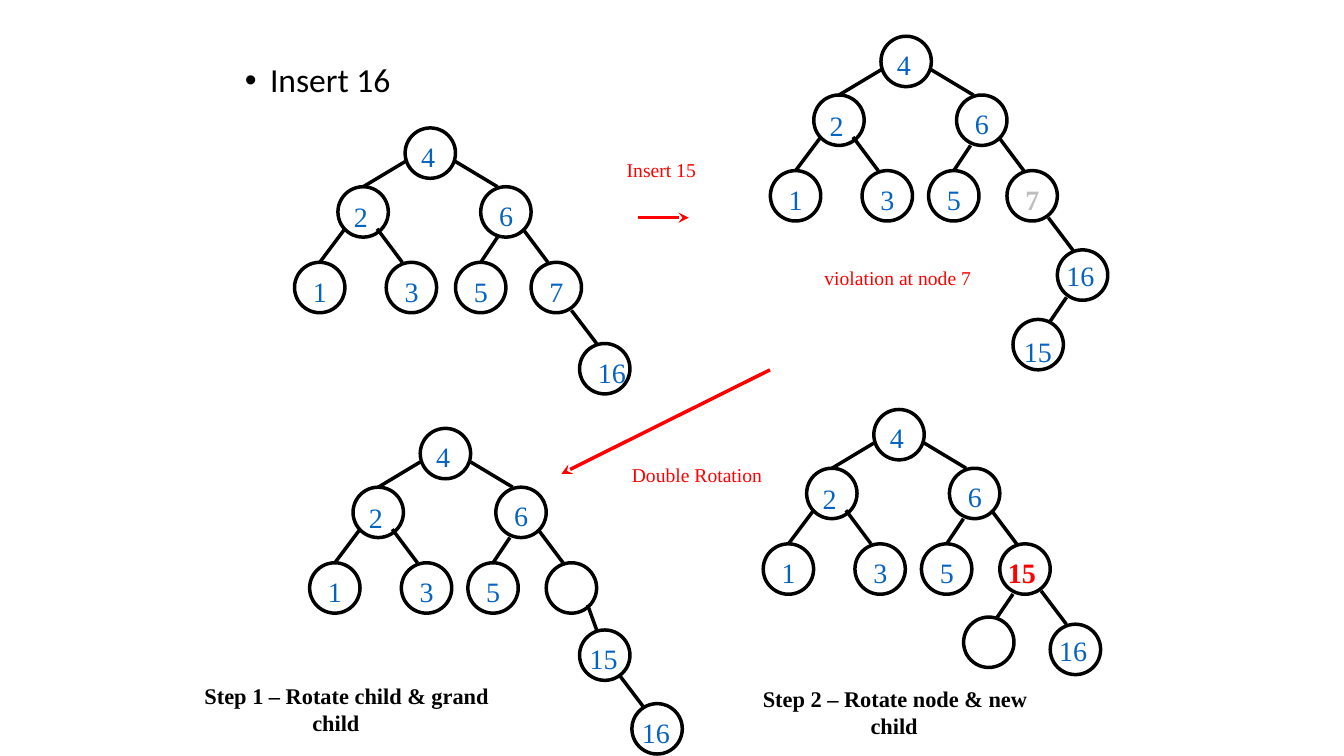
from lxml import etree
from pptx import Presentation
from pptx.dml import color
from pptx.enum import shapes, text
from pptx.oxml import ns
from pptx.util import Pt

theme = {
    "ink": color.RGBColor.from_string("000000"),
    "blue": color.RGBColor.from_string("0563C1"),
    "red": color.RGBColor.from_string("FF0000"),
    "gray": color.RGBColor.from_string("BFBFBF"),
    "serif": "Times New Roman",
    "sans": "Calibri",
    "key": Pt(20),
    "note": Pt(14),
    "step": Pt(16),
    "head": Pt(24),
    "line": Pt(2.5),
}
size = 36

deck = Presentation()
deck.slide_width, deck.slide_height = Pt(960), Pt(540)
slide = deck.slides.add_slide(deck.slide_layouts[6])


def write(home, words, left, top, wide, high, kind, hue, wrap=False, bold=False, face="serif"):
    box = home.add_textbox(Pt(left), Pt(top), Pt(wide), Pt(high))
    frame = box.text_frame
    frame.word_wrap = wrap
    frame.auto_size = text.MSO_AUTO_SIZE.NONE if kind == "head" else text.MSO_AUTO_SIZE.SHAPE_TO_FIT_TEXT
    para = frame.paragraphs[0]
    run = para.add_run()
    run.text = words
    form = {"name": theme[face], "size": theme[kind], "bold": bold}
    for name, value in form.items():
        setattr(run.font, name, value)
    run.font.color.rgb = theme[hue]
    return para


def join(home, start, end, hue):
    line = home.add_connector(shapes.MSO_CONNECTOR.STRAIGHT, *map(Pt, start + end))
    line.line.width = theme["line"]
    line.line.color.rgb = theme[hue]
    etree.SubElement(line._element.spPr, ns.qn("a:effectLst"))
    return line


head = write(slide.shapes, "Insert 16", 167.8, 41.8, 648, 77.8, "head", "ink", wrap=True, face="sans")
head.line_spacing, head.space_before = 0.9, Pt(10)
prop = head._p.get_or_add_pPr()
prop.set("marL", str(Pt(18)))
prop.set("indent", str(-Pt(18)))
etree.SubElement(prop, ns.qn("a:buFont")).set("typeface", "Arial")
etree.SubElement(prop, ns.qn("a:buChar")).set("char", "•")

# Each node: key, circle left and top, key shift, edge start and end
base = [
    ("4", 0, 0, 4.3, 4.5, None, None),
    ("2", -48, 42, 4.3, 5.8, (0, 24), (-30, 42)),
    ("6", 54, 42, 6, 4.7, (36, 24), (66, 42)),
    ("1", -79, 96, 6, 5, (-43, 72), (-61, 96)),
    ("3", -13.5, 96, 6, 5, (-20, 72), (-2, 96)),
]
trees = [
    (289.4, 91.4, 36, ("7", 6, "blue"), [
        ("16", 124.6, 154, 6, 5, (118.8, 130.3), (136.8, 154)),
    ]),
    (629.3, 25.9, 34, ("7", 6, "gray"), [
        ("16", 126, 152.6, -0.7, 2.9, (119.5, 129.6), (137.5, 153.4)),
        ("15", 94.3, 202.3, 0.7, 7.2, (132.5, 186.5), (120.2, 204.5)),
    ]),
    (300.2, 306, 34, ("", 6, "blue"), [
        ("15", 113.8, 144, 0, 5, (119.5, 126), (126, 144)),
        ("16", 151.2, 196.6, 0, 5, (141.8, 175.7), (159.8, 199.4)),
    ]),
    (624.2, 292.5, 34, ("15", -1.4, "red"), [
        ("16", 126, 153.4, -0.7, 2.9, (119.5, 129.6), (137.5, 153.4)),
        ("", 64.1, 148.3, 0, 0, (99.4, 131.8), (87.1, 149.8)),
    ]),
]

for left, top, five, (seven, shift, tint), extra in trees:
    group = slide.shapes.add_group_shape().shapes
    pair = [
        ("5", five, 96, 6, 5, (five + 30, 78), (five + 18, 96)),
        (seven, 90, 96, shift, 5, (84, 72), (102, 96)),
    ]
    for node in base + pair + extra:
        key, x, y, right, down, start, end = node
        ring = group.add_shape(shapes.MSO_SHAPE.OVAL, Pt(left + x), Pt(top + y), Pt(size), Pt(size))
        ring.shadow.inherit = False
        ring.fill.background()
        ring.line.width = theme["line"]
        ring.line.color.rgb = theme["ink"]
        if start:
            edge = join(group, (left + start[0], top + start[1]), (left + end[0], top + end[1]), "ink")
            if end == (x + size / 2, y):
                edge.end_connect(ring, 0)
        if key:
            hue = tint if node is pair[1] else "blue"
            wide = 24.5 if len(key) == 1 else 34.5
            write(group, key, left + x + right, top + y + down, wide, 31.5, "key", hue, bold=hue != "blue")

for words, left, top, wide in [
    ("Insert 15", 440.6, 109.4, 64),
    ("violation at node 7", 581.8, 186.5, 120.2),
    ("Double Rotation", 444.2, 326.9, 108.7),
]:
    write(slide.shapes, words, left, top, wide, 24.5, "note", "red")

for start, end in [((456, 155.5), (492, 155.5)), ((550, 264.2), (401, 338.4))]:
    arrow = join(slide.shapes, start, end, "red")
    etree.SubElement(arrow.line._get_or_add_ln(), ns.qn("a:tailEnd")).set("type", "stealth")

for words, left, top in [
    ("Step 1 – Rotate child & grand child", 139, 483.8),
    ("Step 2 – Rotate node & new child", 537.8, 486),
]:
    step = write(slide.shapes, words, left, top, 223.2, 46, "step", "ink", wrap=True, bold=True)
    prop = step._p.get_or_add_pPr()
    prop.set("marL", str(Pt(77)))
    prop.set("indent", str(-Pt(77)))

deck.save("out.pptx")
